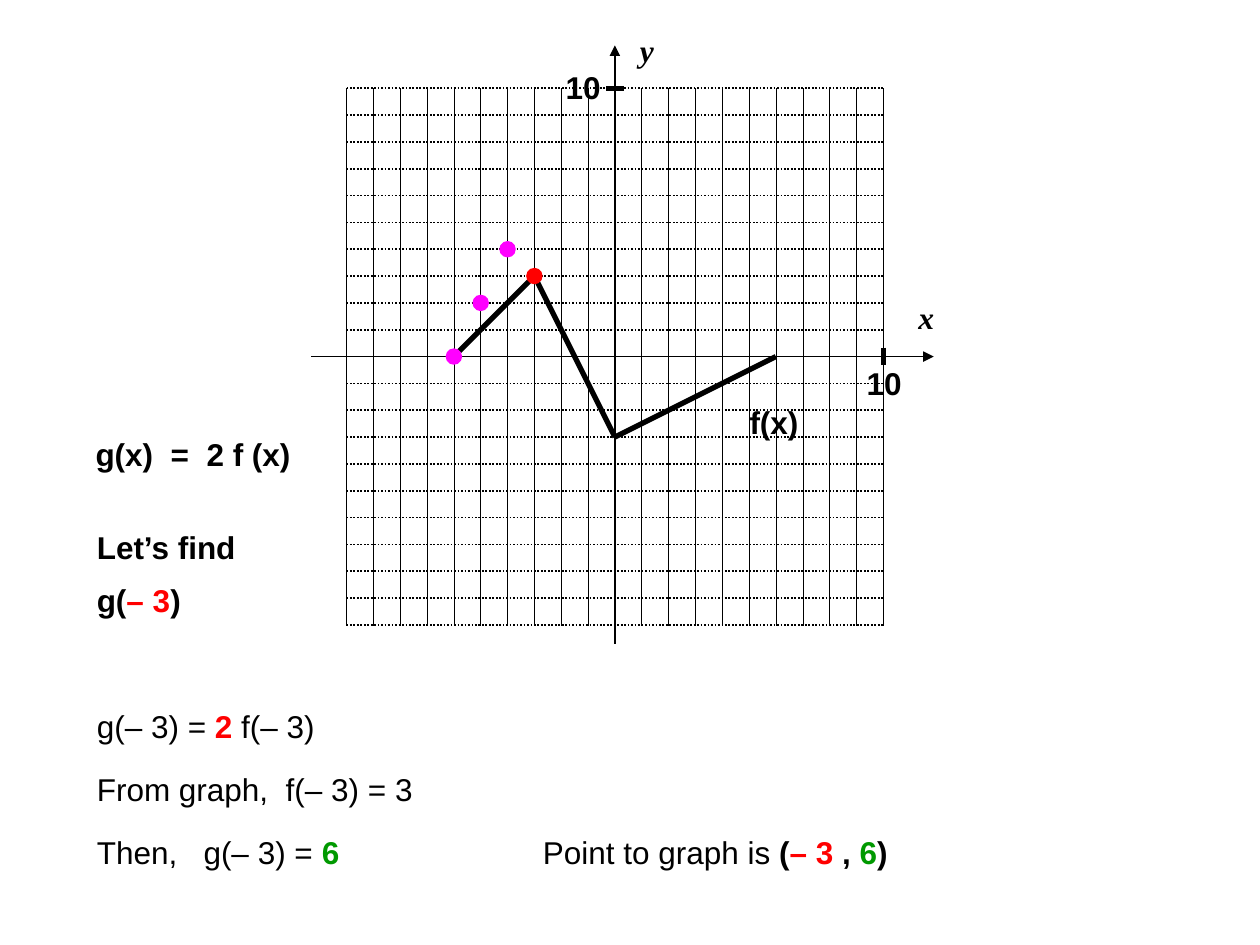
from dataclasses import dataclass

from lxml import etree
from pptx import Presentation
from pptx.dml.color import RGBColor
from pptx.enum.dml import MSO_LINE
from pptx.enum.shapes import MSO_CONNECTOR, MSO_SHAPE
from pptx.enum.text import MSO_AUTO_SIZE
from pptx.oxml.ns import qn
from pptx.util import Inches, Pt

STRAIGHT = MSO_CONNECTOR.STRAIGHT
OVAL = MSO_SHAPE.OVAL
DOTTED = MSO_LINE.ROUND_DOT
NO_AUTOFIT = MSO_AUTO_SIZE.NONE


@dataclass(frozen=True)
class Theme:
    ink: RGBColor = RGBColor(0x00, 0x00, 0x00)
    red: RGBColor = RGBColor(0xFF, 0x00, 0x00)
    green: RGBColor = RGBColor(0x00, 0x99, 0x00)
    magenta: RGBColor = RGBColor(0xFF, 0x00, 0xFF)
    body_font: str = "Arial"
    axis_font: str = "Times New Roman"
    size: int = 18
    thin: float = 0.75
    thick: float = 3


# Coordinate plane: unit squares from -10 to 10 on both axes
LIMIT = 10
ORIGIN_X, ORIGIN_Y = 4.88, 2.83
UNIT = 4.26 / (2 * LIMIT)
TICK = 0.07
DOT = 0.12


def to_slide(x, y):
    """Turn plane coordinates into inches on the slide."""
    return ORIGIN_X + x * UNIT, ORIGIN_Y - y * UNIT


class SlideBuilder:
    def __init__(self, slide, theme):
        self.s = slide
        self.theme = theme

    def group(self):
        return self.s.shapes.add_group_shape().shapes

    def line(self, start, end, width, dash=None, arrow=False, shapes=None):
        """Draw a line; an arrow points at its start."""
        shapes = self.s.shapes if shapes is None else shapes
        ends = [Inches(v) for v in (*start, *end)]
        line = shapes.add_connector(STRAIGHT, *ends)
        line.line.color.rgb = self.theme.ink
        line.line.width = Pt(width)
        if dash:
            line.line.dash_style = dash
        sp_pr = line._element.spPr
        if arrow:
            etree.SubElement(sp_pr.find(qn("a:ln")), qn("a:headEnd"), type="triangle")
        etree.SubElement(sp_pr, qn("a:effectLst"))

    def dot(self, point, color):
        x, y = to_slide(*point)
        sp = self.s.shapes.add_shape(OVAL, Inches(x - DOT / 2), Inches(y - DOT / 2),
                                     Inches(DOT), Inches(DOT))
        sp.shadow.inherit = False
        sp.fill.solid()
        sp.fill.fore_color.rgb = color
        sp.line.color.rgb = color
        sp.line.width = Pt(self.theme.thin)

    def text(self, left, top, width, runs, font=None, italic=False):
        """Add one line of text from (text, bold, color) runs."""
        box = self.s.shapes.add_textbox(Inches(left), Inches(top), Inches(width), Inches(0.4))
        tf = box.text_frame
        tf.word_wrap = True
        tf.auto_size = NO_AUTOFIT
        tf.margin_right = 0  # spare room keeps every label on one line
        p = tf.paragraphs[0]
        for text, bold, color in runs:
            r = p.add_run()
            r.text = text
            r.font.name = font or self.theme.body_font
            r.font.size = Pt(self.theme.size)
            r.font.bold = bold
            r.font.italic = italic
            r.font.color.rgb = color


def build_graph(b):
    t = b.theme

    # Graph of f
    f_points = [to_slide(*pt) for pt in ((-6, 0), (-3, 3), (0, -3), (6, 0))]
    f_graph = b.group()
    for start, end in zip(f_points, f_points[1:]):
        b.line(start, end, t.thick, shapes=f_graph)

    # Grid
    columns, rows = b.group(), b.group()
    for n in range(-LIMIT, LIMIT + 1):
        b.line(to_slide(n, LIMIT), to_slide(n, -LIMIT), 0.25, DOTTED, shapes=columns)
        b.line(to_slide(-LIMIT, n), to_slide(LIMIT, n), 1, DOTTED, shapes=rows)

    # Axes and their end ticks
    b.line((ORIGIN_X, 0.36), (ORIGIN_X, 5.11), t.thin, arrow=True)
    b.line((7.41, ORIGIN_Y), (2.47, ORIGIN_Y), t.thin, arrow=True)
    x_end, _ = to_slide(LIMIT, 0)
    _, y_end = to_slide(0, LIMIT)
    b.line((x_end, ORIGIN_Y - TICK), (x_end, ORIGIN_Y + TICK), t.thick)
    b.line((ORIGIN_X - TICK, y_end), (ORIGIN_X + TICK, y_end), t.thick)

    # Axis and graph labels
    for name, left, top in (("y", 4.98, 0.2), ("x", 7.19, 2.32)):
        b.text(left, top, 0.32, [(name, True, t.ink)], t.axis_font, italic=True)
    for left, top in ((6.78, 2.84), (4.39, 0.49)):
        b.text(left, top, 0.48, [(str(LIMIT), True, t.ink)])
    b.text(5.85, 3.15, 0.59, [("f(x)", True, t.ink)])

    # Points of g found so far, and the point of f in use
    for point, color in (((-6, 0), t.magenta), ((-5, 2), t.magenta),
                         ((-3, 3), t.red), ((-4, 4), t.magenta)):
        b.dot(point, color)


def build_working(b):
    t = b.theme

    # Task
    b.text(0.66, 3.4, 1.75, [("g(x)  =  2 f (x)", True, t.ink)])
    b.text(0.67, 4.14, 1.31, [("Let’s find", True, t.ink)])
    b.text(0.67, 4.56, 0.86, [("g(", True, t.ink), ("– 3", True, t.red), (")", True, t.ink)])

    # Steps
    steps = (
        (2, [("g(– 3) = ", False, t.ink), ("2", True, t.red), (" f(– 3)", False, t.ink)]),
        (2.71, [("From graph,  f(– 3) = 3", False, t.ink)]),
        (2.12, [("Then,   g(– 3) = ", False, t.ink), ("6", True, t.green)]),
    )
    for i, (width, runs) in enumerate(steps):
        b.text(0.67, 5.56 + 0.5 * i, width, runs)

    # Result
    b.text(4.21, 6.56, 2.93, [
        ("Point to graph is ", False, t.ink), ("(", True, t.ink), ("– 3", True, t.red),
        (" , ", True, t.ink), ("6", True, t.green), (")", True, t.ink)])


def main():
    prs = Presentation()
    prs.slide_width, prs.slide_height = Inches(10), Inches(7.5)
    s = prs.slides.add_slide(prs.slide_layouts[6])
    b = SlideBuilder(s, Theme())
    build_graph(b)
    build_working(b)
    prs.save("out.pptx")


if __name__ == "__main__":
    main()
